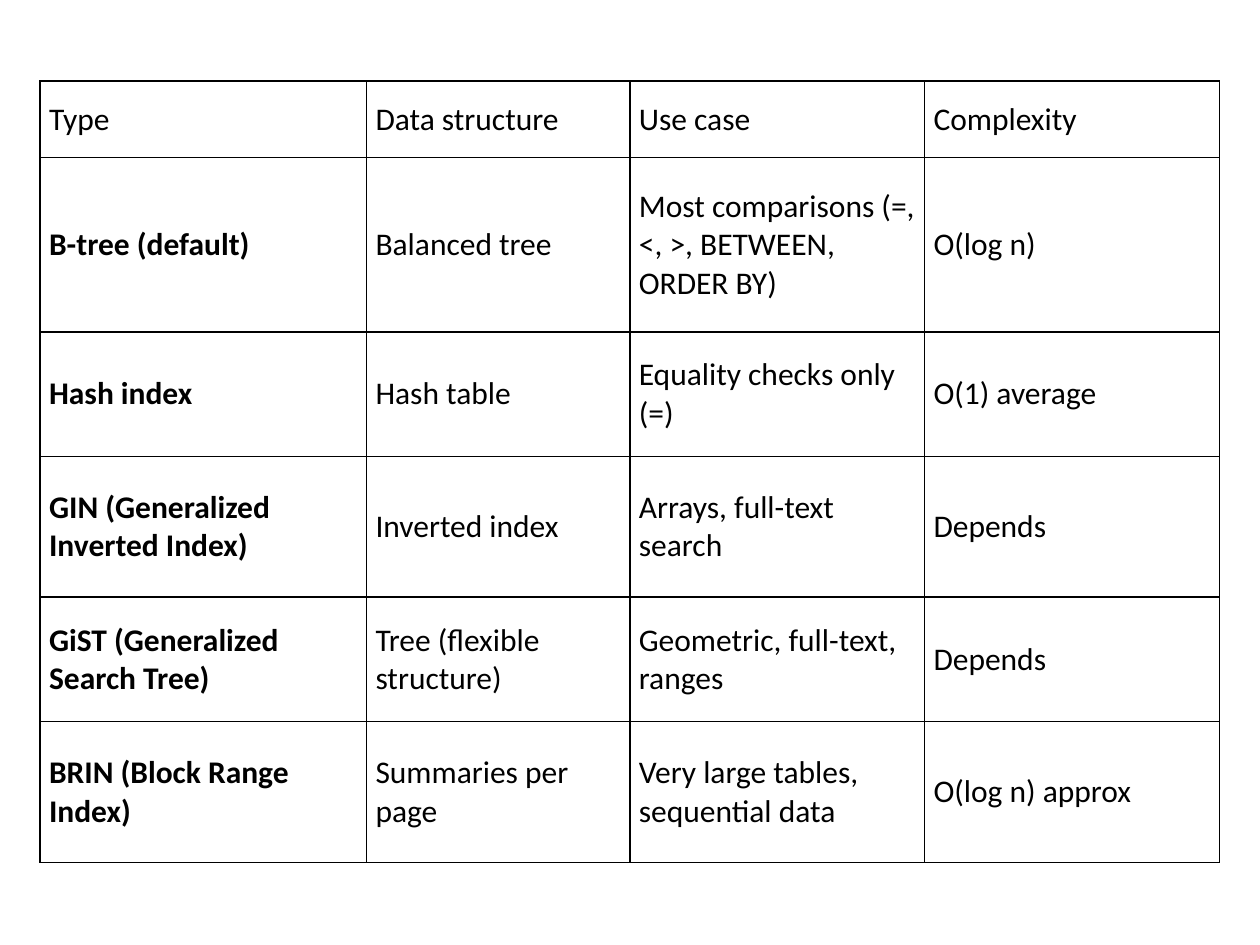
"""Build a slide with a table comparing database index types."""
from lxml import etree
from pptx import Presentation, util as u
from pptx.dml.color import RGBColor
from pptx.enum import text
from pptx.oxml.ns import qn

BLACK = "000000"
COLUMN_WIDTHS = [6.58, 5.31, 5.94, 5.94]
ROW_HEIGHTS = [1.55, 3.51, 2.51, 2.84, 2.51, 2.84]
INDEX_TYPES = [
    ("Type", "Data structure", "Use case", "Complexity"),
    ("B-tree (default)", "Balanced tree",
     "Most comparisons (=, <, >, BETWEEN, ORDER BY)", "O(log n)"),
    ("Hash index", "Hash table", "Equality checks only (=)", "O(1) average"),
    ("GIN (Generalized Inverted Index)", "Inverted index",
     "Arrays, full-text search", "Depends"),
    ("GiST (Generalized Search Tree)", "Tree (flexible structure)",
     "Geometric, full-text, ranges", "Depends"),
    ("BRIN (Block Range Index)", "Summaries per page",
     "Very large tables, sequential data", "O(log n) approx"),
]


def color(value):
    return RGBColor.from_string(value)


def add_borders(cell):
    properties = cell._tc.get_or_add_tcPr()
    for position, side in enumerate(("lnL", "lnR", "lnT", "lnB")):
        line = etree.Element(qn(f"a:{side}"), w=str(u.Pt(1)))
        fill = etree.SubElement(line, qn("a:solidFill"))
        etree.SubElement(fill, qn("a:srgbClr"), val=BLACK)
        properties.insert(position, line)


deck = Presentation()
deck.slide_width, deck.slide_height = u.Cm(25.4), u.Cm(19.05)
page = deck.slides.add_slide(deck.slide_layouts[6])

table = page.shapes.add_table(
    len(ROW_HEIGHTS), len(COLUMN_WIDTHS), u.Cm(0.81), u.Cm(1.63),
    u.Cm(sum(COLUMN_WIDTHS)), u.Cm(sum(ROW_HEIGHTS))).table
table.first_row = table.horz_banding = False
for column, width in zip(table.columns, COLUMN_WIDTHS):
    column.width = u.Cm(width)

for row_number, (height, entries) in enumerate(zip(ROW_HEIGHTS, INDEX_TYPES)):
    table.rows[row_number].height = u.Cm(height)
    for column_number, entry in enumerate(entries):
        cell = table.cell(row_number, column_number)
        cell.fill.background()
        add_borders(cell)
        cell.vertical_anchor = text.MSO_ANCHOR.MIDDLE
        cell.margin_left = cell.margin_right = u.Cm(0.18)
        cell.margin_top = cell.margin_bottom = u.Cm(0.08)
        cell.text_frame.text = entry
        font = cell.text_frame.paragraphs[0].runs[0].font
        font.name, font.size = "Calibri", u.Pt(18)
        font.bold = row_number > 0 and column_number == 0
        font.color.rgb = color(BLACK)

deck.save("out.pptx")
